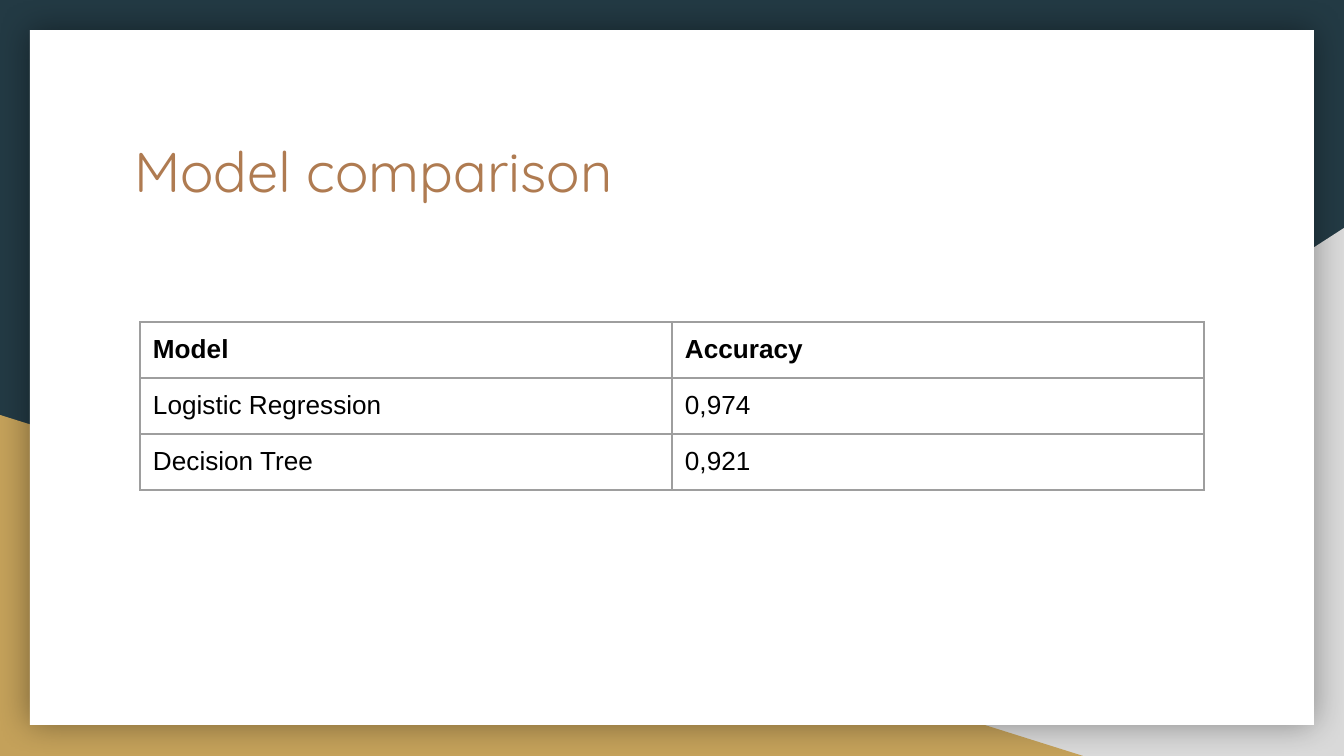
from lxml.etree import SubElement
from pptx import Presentation
from pptx.dml.color import RGBColor
from pptx.enum.shapes import MSO_SHAPE as Shape
from pptx.enum.text import MSO_ANCHOR as Anchor, PP_ALIGN as Align
from pptx.oxml.ns import qn
from pptx.util import Emu, Pt

EMU_PER_PX = 914400 / 134.4
COLORS = {
    "night": "233A44",
    "silver": "D9D9D9",
    "gold": "C4A15A",
    "white": "FFFFFF",
    "black": "000000",
    "copper": "AF7B51",
    "border": "9E9E9E",
}
ROWS = [
    ("Model", "Accuracy"),
    ("Logistic Regression", "0,974"),
    ("Decision Tree", "0,921"),
]


def px(*lengths):
    return [Emu(round(length * EMU_PER_PX)) for length in lengths]


def color(name):
    return RGBColor.from_string(COLORS[name])


def add_color(parent, name):
    return SubElement(parent, qn("a:srgbClr"), val=COLORS[name])


class Builder:
    def __init__(self, page):
        self.page = page
        self.inset = px(13)[0]

    def background(self, name):
        fill = self.page.background.fill
        fill.solid()
        fill.fore_color.rgb = color(name)

    def shape(self, kind, box, name, flipped=False):
        shape = self.page.shapes.add_shape(kind, *px(*box))
        shape.shadow.inherit = False
        shape.fill.solid()
        shape.fill.fore_color.rgb = color(name)
        shape.line.fill.background()
        if flipped:
            shape._element.spPr.xfrm.set("flipH", "1")
        return shape

    def glow_shadow(self, shape, blur, opacity):
        """Add a centred black shadow with the given blur and percent opacity."""
        effects = shape._element.spPr.find(qn("a:effectLst"))
        shadow = SubElement(effects, qn("a:outerShdw"), blurRad=str(Pt(blur)),
                            dist="0", dir="0", algn="ctr", rotWithShape="0")
        SubElement(add_color(shadow, "black"), qn("a:alpha"), val=str(opacity * 1000))

    def style(self, para, font, size, name, bold=False):
        para.alignment = Align.LEFT
        para.font.name = font
        para.font.size = Pt(size)
        para.font.bold = bold
        para.font.color.rgb = color(name)

    def title(self, text, box):
        title = self.page.shapes.title
        title.left, title.top, title.width, title.height = px(*box)
        frame = title.text_frame
        frame.margin_left = frame.margin_right = self.inset
        frame.margin_top = frame.margin_bottom = self.inset
        frame.vertical_anchor = Anchor.TOP
        frame.word_wrap = True
        frame.text = text
        self.style(frame.paragraphs[0], "Quicksand", 30, "copper")

    def borders(self, cell, width):
        properties = cell._tc.get_or_add_tcPr()
        for side in ("lnL", "lnR", "lnT", "lnB"):
            line = SubElement(properties, qn(f"a:{side}"), w=str(Pt(width)))
            add_color(SubElement(line, qn("a:solidFill")), "border")

    def table(self, rows, left, top, column_width, row_height):
        size = column_width * len(rows[0]), row_height * len(rows)
        frame = self.page.shapes.add_table(
            len(rows), len(rows[0]), *px(left, top, *size))
        table = frame.table
        table.first_row = table.horz_banding = False
        for row_index, texts in enumerate(rows):
            for column_index, text in enumerate(texts):
                cell = table.cell(row_index, column_index)
                cell.margin_left = cell.margin_right = self.inset
                cell.margin_top = cell.margin_bottom = self.inset
                self.borders(cell, 0.75)
                cell.fill.background()
                cell.text = text
                self.style(cell.text_frame.paragraphs[0], "Arial", 14, "black",
                           bold=row_index == 0)


def main():
    deck = Presentation()
    deck.slide_width, deck.slide_height = px(1344, 756)
    builder = Builder(deck.slides.add_slide(deck.slide_layouts[5]))
    builder.background("night")
    builder.shape(Shape.RIGHT_TRIANGLE, (527, 228, 817, 528), "silver", flipped=True)
    builder.shape(Shape.RIGHT_TRIANGLE, (0, 415, 1083, 341), "gold")
    card = builder.shape(Shape.RECTANGLE, (30, 30, 1284, 695), "white")
    builder.glow_shadow(card, blur=18, opacity=40)

    # The title placeholder comes first, so lift it above the card.
    title = builder.page.shapes.title._element
    card._element.addnext(title)
    builder.title("Model comparison", (121, 124, 1103, 140))
    builder.table(ROWS, left=140, top=322, column_width=532, row_height=56)
    deck.save("out.pptx")


if __name__ == "__main__":
    main()
